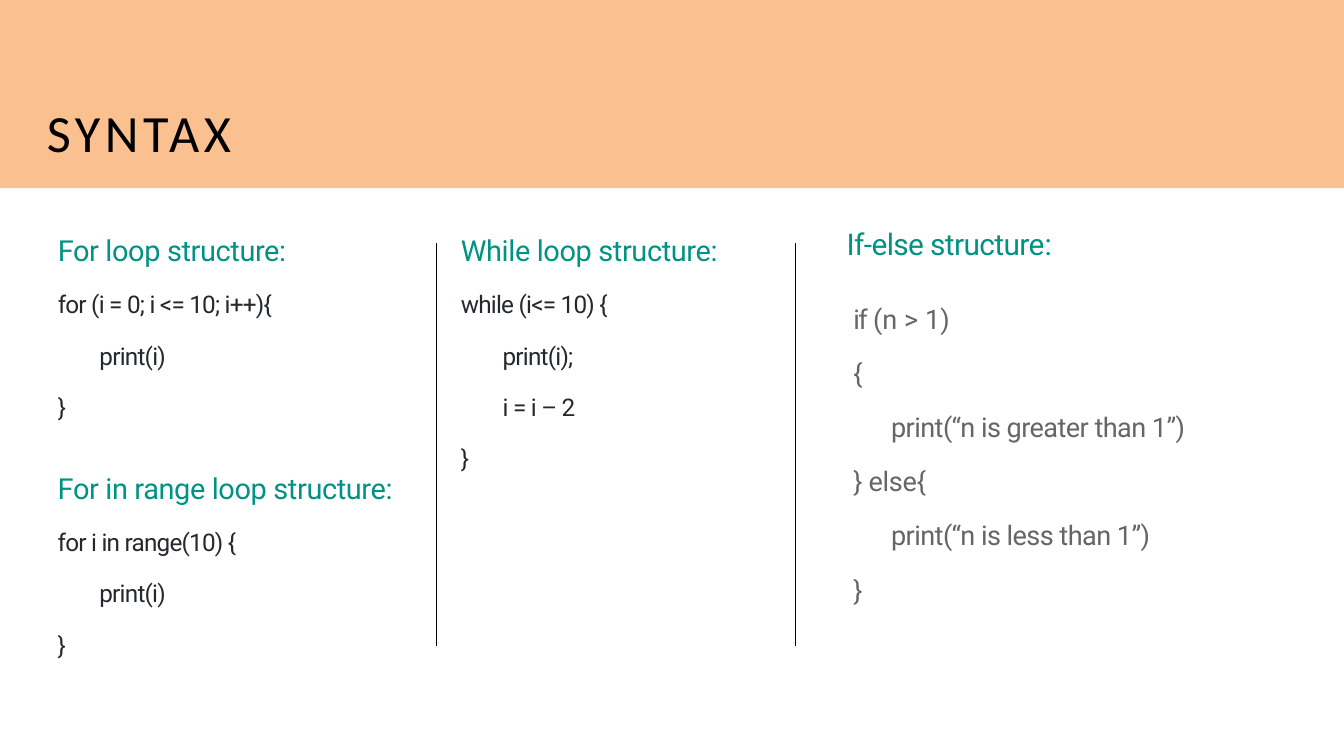
from dataclasses import dataclass

from lxml import etree
from pptx import Presentation
from pptx.dml.color import RGBColor
from pptx.enum.shapes import MSO_CONNECTOR, MSO_SHAPE
from pptx.enum.text import MSO_AUTO_SIZE
from pptx.oxml.ns import qn
from pptx.util import Inches, Pt

STRAIGHT = MSO_CONNECTOR.STRAIGHT
RECTANGLE = MSO_SHAPE.RECTANGLE
GROW = MSO_AUTO_SIZE.SHAPE_TO_FIT_TEXT

SLIDE_WIDTH = 10
SLIDE_HEIGHT = SLIDE_WIDTH * 9 / 16
PEACH, BLACK, TEAL, INK, GRAY = "FAC090", "000000", "009384", "24292F", "666666"
BASE_INDENT = 0.01


@dataclass(frozen=True)
class Style:
    size: float
    color: str
    spacing: float
    font: str = "Roboto"
    before: float = 0
    indent: float = BASE_INDENT


@dataclass(frozen=True)
class Line:
    """Text runs, each with its own letter spacing or None for the style's."""
    runs: tuple[tuple[str, float | None], ...]
    style: Style
    level: int = 0


@dataclass(frozen=True)
class Box:
    left: float
    top: float
    width: float
    height: float
    lines: tuple[Line, ...]
    margins: tuple[float, float, float, float] = (0, 0.02, 0, 0)


TITLE = Style(28, BLACK, 2.5, font="Calibri", indent=0)
HEADING = Style(15.5, TEAL, -0.2, before=1.2)
CODE = Style(13, INK, -0.4, before=11.9)
BRANCH_HEADING = Style(16, TEAL, -0.3, before=1)
BRANCH_FIRST = Style(14.5, GRAY, -0.3, before=1.4)
BRANCH = Style(14.5, GRAY, -0.3, before=11.6)
LEVEL_INDENT = {CODE: 0.31, BRANCH: 0.28}


def plain(text: str, style: Style, level: int = 0) -> Line:
    return Line(((text, None),), style, level)


def loop_lines(heading: str, opening: str, *body: str) -> tuple[Line, ...]:
    """A heading above a loop with an indented body and a closing brace."""
    return (
        plain(heading, HEADING),
        plain(opening, CODE),
        *(plain(statement, CODE, 1) for statement in body),
        plain("}", CODE),
    )


BOXES = (
    Box(0.25, 0.7, 5.5, 0.57, (plain("SYNTAX", TITLE),), (0.1, 0.05, 0.1, 0.05)),
    Box(0.42, 1.71, 2.49, 1.44,
        loop_lines("For loop structure:", "for (i = 0; i <= 10; i++){", "print(i)")),
    Box(0.42, 3.48, 2.66, 1.44,
        loop_lines("For in range loop structure:", "for i in range(10) {", "print(i)")),
    Box(3.42, 1.71, 2.4, 1.83,
        loop_lines("While loop structure:", "while (i<= 10) {", "print(i);", "i = i – 2")),
    Box(6.29, 1.67, 2.16, 0.28,
        (Line((("If-else structure", None), (":", -0.1)), BRANCH_HEADING),),
        (0, 0.01, 0, 0)),
    Box(6.34, 2.23, 3.24, 2.32, (
        Line((("if ", -0.8), ("(n > 1", 0), (")", -0.2)), BRANCH_FIRST),
        plain("{", BRANCH),
        plain("print(“n is greater than 1”)", BRANCH, 1),
        Line((("} ", None), ("else", -0.2), ("{", None)), BRANCH),
        plain("print(“n is less than 1”)", BRANCH, 1),
        plain("}", BRANCH),
    )),
)

DIVIDERS = (3.25, 5.92)
DIVIDER_TOP, DIVIDER_BOTTOM = 1.81, 4.81


def rgb(value: str) -> RGBColor:
    return RGBColor.from_string(value)


def write_line(paragraph, line: Line) -> None:
    style = line.style
    paragraph.space_before = Pt(style.before)
    indent = style.indent + line.level * LEVEL_INDENT.get(style, 0)
    properties = paragraph._p.get_or_add_pPr()
    properties.set("marL", str(Inches(indent)))
    properties.set("indent", "0")
    font_values = {"name": style.font, "size": Pt(style.size)}
    for text, spacing in line.runs:
        run = paragraph.add_run()
        run.text = text
        for name, value in font_values.items():
            setattr(run.font, name, value)
        run.font.color.rgb = rgb(style.color)
        points = style.spacing if spacing is None else spacing
        run._r.get_or_add_rPr().set("spc", str(round(points * 100)))


def add_text(slide, box: Box) -> None:
    shape = slide.shapes.add_textbox(
        Inches(box.left), Inches(box.top), Inches(box.width), Inches(box.height))
    frame = shape.text_frame
    left, top, right, bottom = map(Inches, box.margins)
    frame_values = {
        "word_wrap": True, "auto_size": GROW, "margin_left": left,
        "margin_top": top, "margin_right": right, "margin_bottom": bottom,
    }
    for name, value in frame_values.items():
        setattr(frame, name, value)
    for index, line in enumerate(box.lines):
        paragraph = frame.add_paragraph() if index else frame.paragraphs[0]
        write_line(paragraph, line)


def add_band(slide) -> None:
    band = slide.shapes.add_shape(
        RECTANGLE, Inches(0), Inches(-0.04), Inches(SLIDE_WIDTH), Inches(1.44))
    band.shadow.inherit = False
    band.fill.solid()
    band.fill.fore_color.rgb = rgb(PEACH)
    band.line.fill.background()


def add_divider(slide, x: float) -> None:
    divider = slide.shapes.add_connector(
        STRAIGHT, Inches(x), Inches(DIVIDER_TOP), Inches(x), Inches(DIVIDER_BOTTOM))
    divider.line.color.rgb = rgb(BLACK)
    divider.line.width = Pt(0.75)
    etree.SubElement(divider._element.spPr, qn("a:effectLst"))


def main() -> None:
    presentation = Presentation()
    presentation.slide_width = Inches(SLIDE_WIDTH)
    presentation.slide_height = Inches(SLIDE_HEIGHT)
    slide = presentation.slides.add_slide(presentation.slide_layouts[6])
    add_band(slide)
    for box in BOXES:
        add_text(slide, box)
    for x in DIVIDERS:
        add_divider(slide, x)
    presentation.save("out.pptx")


if __name__ == "__main__":
    main()
